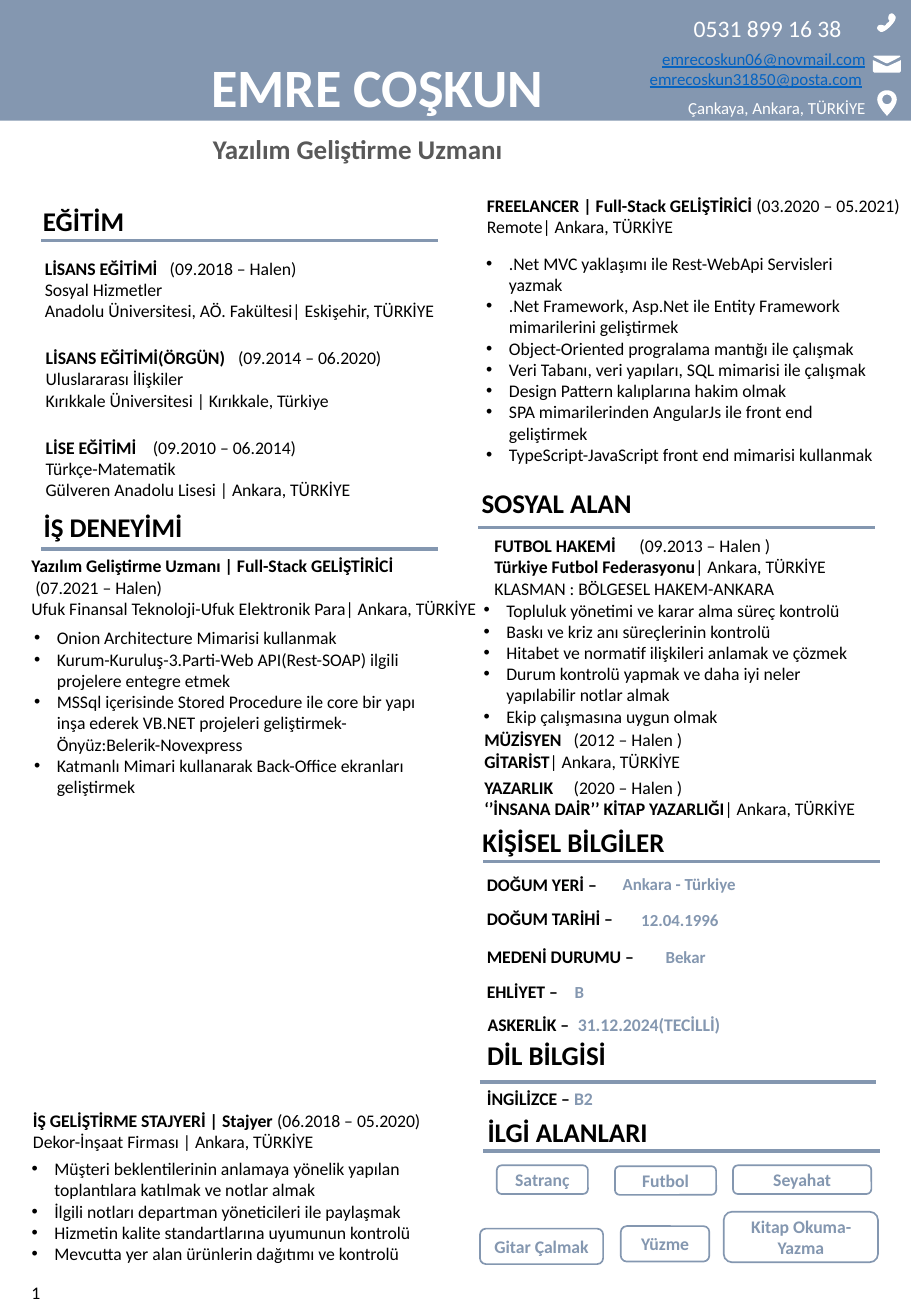
from lxml.etree import SubElement
from pptx import Presentation
from pptx.dml.color import RGBColor
from pptx.enum.shapes import MSO_CONNECTOR, MSO_SHAPE
from pptx.enum.text import MSO_ANCHOR, MSO_AUTO_SIZE, PP_ALIGN
from pptx.oxml.ns import qn
from pptx.util import Pt

STEEL, WHITE, BLACK = "8497B0", "FFFFFF", "000000"
THEME = {
    "font": "Calibri",
    "accent": RGBColor.from_string(STEEL),
    "white": RGBColor.from_string(WHITE),
    # role: size, bold, colour, underline
    "name": (32, True, WHITE, False),
    "job": (16, True, "595959", False),
    "heading": (16, True, BLACK, False),
    "phone": (14, False, WHITE, False),
    "address": (10, False, WHITE, False),
    "mail": (10, False, "0563C1", True),
    "value": (10, True, STEEL, False),
    "tag": (10.5, True, STEEL, False),
    "bold": (10.5, True, BLACK, False),
    "plain": (10.5, False, BLACK, False),
}


def write(frame, paragraphs, align=PP_ALIGN.LEFT, tab=None, bullet=False):
    """Fill a frame with paragraphs, each a list of (text, role) runs."""
    for number, runs in enumerate(paragraphs):
        paragraph = frame.add_paragraph() if number else frame.paragraphs[0]
        paragraph.alignment = align
        paragraph.space_before = Pt(0)
        properties = paragraph._p.get_or_add_pPr()
        if bullet:
            properties.set("marL", str(Pt(13.5)))
            properties.set("indent", str(-Pt(13.5)))
            SubElement(properties, qn("a:buFont"), typeface="Arial")
            SubElement(properties, qn("a:buChar"), char="•")
        if tab:
            stops = SubElement(properties, qn("a:tabLst"))
            SubElement(stops, qn("a:tab"), pos=str(Pt(tab)), algn="l")
        for text, role in runs:
            run = paragraph.add_run()
            run.text = text
            size, bold, colour, underline = THEME[role]
            run.font.name = THEME["font"]
            run.font.size = Pt(size)
            run.font.bold = bold
            run.font.underline = underline
            run.font.color.rgb = RGBColor.from_string(colour)


def curve(start, *segments):
    """Points along a chain of cubic curves."""
    points = [start]
    for first, second, end in segments:
        origin = points[-1]
        for t in (step / 8 for step in range(1, 9)):
            points.append(tuple(
                a * (1 - t) ** 3 + 3 * b * t * (1 - t) ** 2 + 3 * c * t * t * (1 - t) + d * t ** 3
                for a, b, c, d in zip(origin, first, second, end)))
    return points


presentation = Presentation()
presentation.slide_width, presentation.slide_height = Pt(540), Pt(779.76)
slide = presentation.slides.add_slide(presentation.slide_layouts[4])
shapes = slide.shapes

# Header band, behind the name
band = shapes.add_shape(MSO_SHAPE.RECTANGLE, 0, 0, Pt(540), Pt(71.5))
band.shadow.inherit = False
band.fill.solid()
band.fill.fore_color.rgb = THEME["accent"]
band.line.fill.background()
shapes._spTree.insert(2, band._element)

# Name
name = shapes.title
name.left, name.top, name.width, name.height = Pt(118), Pt(28), Pt(214), Pt(46)
name.text_frame.word_wrap = False
name.text_frame.auto_size = MSO_AUTO_SIZE.NONE
name.text_frame.vertical_anchor = MSO_ANCHOR.TOP
write(name.text_frame, [[("EMRE COŞKUN", "name")]])

# Duty lists: placeholder, left, top, height, items
duties = [
    (1, 13, 368, 109, [
        "Onion Architecture Mimarisi kullanmak",
        "Kurum-Kuruluş-3.Parti-Web API(Rest-SOAP) ilgili projelere entegre etmek",
        "MSSql içerisinde Stored Procedure ile core bir yapı inşa ederek VB.NET projeleri "
        "geliştirmek-Önyüz:Belerik-Novexpress",
        "Katmanlı Mimari kullanarak Back-Office ekranları geliştirmek"]),
    (2, 11.5, 682.5, 83.5, [
        "Müşteri beklentilerinin anlamaya yönelik yapılan toplantılara katılmak ve notlar almak",
        "İlgili notları departman yöneticileri ile paylaşmak",
        "Hizmetin kalite standartlarına uyumunun kontrolü",
        "Mevcutta yer alan ürünlerin dağıtımı ve kontrolü"]),
    (3, 281, 146, 160, [
        ".Net MVC yaklaşımı ile Rest-WebApi Servisleri yazmak",
        ".Net Framework, Asp.Net ile Entity Framework mimarilerini geliştirmek",
        "Object-Oriented progralama mantığı ile çalışmak",
        "Veri Tabanı, veri yapıları, SQL mimarisi ile çalışmak",
        "Design Pattern kalıplarına hakim olmak",
        "SPA mimarilerinden AngularJs ile front end geliştirmek",
        "TypeScript-JavaScript front end mimarisi kullanmak"]),
    (4, 279.5, 351.5, 83.5, [
        "Topluluk yönetimi ve karar alma süreç kontrolü",
        "Baskı ve kriz anı süreçlerinin kontrolü",
        "Hitabet ve normatif ilişkileri anlamak ve çözmek",
        "Durum kontrolü yapmak ve daha iyi neler yapılabilir notlar almak",
        "Ekip çalışmasına uygun olmak"]),
]
for index, left, top, height, items in duties:
    duty = slide.placeholders[index]
    duty.left, duty.top, duty.width, duty.height = Pt(left), Pt(top), Pt(244), Pt(height)
    duty.text_frame.auto_size = MSO_AUTO_SIZE.NONE
    duty.text_frame.vertical_anchor = MSO_ANCHOR.TOP
    write(duty.text_frame, [[(item, "plain")] for item in items], bullet=True)

# Texts: left, top, width, height, wrap, alignment, tab, paragraphs
L, C, R = PP_ALIGN.LEFT, PP_ALIGN.CENTER, PP_ALIGN.RIGHT
texts = [
    (118, 75, 188, 26.5, False, C, None, [[("Yazılım Geliştirme Uzmanı", "job")]]),
    (391, 4.5, 115, 24, True, R, None, [[("0531 899 16 38", "phone")]]),
    (368.5, 25, 151.5, 32, True, R, None, [
        [("emrecoskun06@novmail.com", "mail")],
        [("emrecoskun31850@posta.com", "mail"), (" ", "address")]]),
    (381, 54.5, 139, 19.5, True, R, None, [[("Çankaya, Ankara, TÜRKİYE", "address")]]),
    (11.5, 756, 244, 20, True, L, None, [[("1", "plain")]]),
    (281.5, 641, 129, 20, True, L, None, [[("İNGİLİZCE – ", "bold"), ("B2", "tag")]]),
    (282, 597, 153, 20, True, L, 53.5, [[("ASKERLİK –\t", "bold"), ("31.12.2024(TECİLLİ)", "tag")]]),
]

# Section headings
for left, top, width, heading in [
        (18, 117.5, 63, "EĞİTİM"), (18, 299, 98, "İŞ DENEYİMİ"),
        (277.5, 285, 105, "SOSYAL ALAN"), (278, 485.5, 124, "KİŞİSEL BİLGİLER"),
        (281, 612, 86, "DİL BİLGİSİ"), (281, 657.5, 111, "İLGİ ALANLARI")]:
    texts.append((left, top, width, 26.5, False, C, None, [[(heading, "heading")]]))

# Education, work and social entries: left, top, width, tab, lines
for left, top, width, tab, lines in [
        (19.5, 149, 251, 74, [
            [("LİSANS EĞİTİMİ\t", "bold"), ("(09.2018 – Halen)", "plain")],
            [("Sosyal Hizmetler", "plain")],
            [("Anadolu Üniversitesi, AÖ. Fakültesi| Eskişehir, TÜRKİYE", "plain")]]),
        (20, 202, 217, 114, [
            [("LİSANS EĞİTİMİ(ÖRGÜN)\t", "bold"), ("(09.2014 – 06.2020)", "plain")],
            [("Uluslararası İlişkiler", "plain")],
            [("Kırıkkale Üniversitesi | Kırıkkale, Türkiye", "plain")]]),
        (20, 255, 199, 63.5, [
            [("LİSE EĞİTİMİ\t", "bold"), ("(09.2010 – 06.2014)", "plain")],
            [("Türkçe-Matematik", "plain")],
            [("Gülveren Anadolu Lisesi | Ankara, TÜRKİYE", "plain")]]),
        (11.5, 325.5, 281.5, None, [
            [("Yazılım Geliştirme Uzmanı | Full-Stack GELİŞTİRİCİ", "bold")],
            [(" ", "bold"), ("(07.2021 – Halen)", "plain")],
            [("Ufuk Finansal Teknoloji-Ufuk Elektronik Para| Ankara, TÜRKİYE", "plain")]]),
        (12.5, 654, 249, None, [
            [("İŞ GELİŞTİRME STAJYERİ | Stajyer ", "bold"), ("(06.2018 – 05.2020)", "plain")],
            [("Dekor-İnşaat Firması | Ankara, TÜRKİYE", "plain")]]),
        (281.5, 112, 261, None, [
            [("FREELANCER | Full-Stack GELİŞTİRİCİ ", "bold"), ("(03.2020 – 05.2021)", "plain")],
            [("Remote| Ankara, TÜRKİYE", "plain")]]),
        (286, 313.5, 216, 86, [
            [("FUTBOL HAKEMİ\t", "bold"), ("(09.2013 – Halen )", "plain")],
            [("Türkiye Futbol Federasyonu", "bold"), ("| Ankara, TÜRKİYE", "plain")],
            [("KLASMAN : BÖLGESEL HAKEM-ANKARA", "plain")]]),
        (280, 428.5, 136, 53, [
            [("MÜZİSYEN\t", "bold"), ("(2012 – Halen )", "plain")],
            [("GİTARİST", "bold"), ("| Ankara, TÜRKİYE", "plain")]]),
        (280, 456.5, 240.5, 53, [
            [("YAZARLIK\t", "bold"), ("(2020 – Halen )", "plain")],
            [("‘’İNSANA DAİR’’ KİTAP YAZARLIĞI", "bold"), ("| Ankara, TÜRKİYE", "plain")]])]:
    texts.append((left, top, width, 7 + 12.8 * len(lines), False, L, tab, lines))

# Personal details: label, its top, value, left, top and width of the value
for label, label_top, value, left, top, width in [
        ("DOĞUM YERİ – ", 514, "Ankara - Türkiye", 362, 514, 87),
        ("DOĞUM TARİHİ – ", 534.5, "12.04.1996", 373, 535.5, 74),
        ("MEDENİ DURUMU – ", 557, "Bekar", 387.5, 557.5, 50),
        ("EHLİYET – ", 577.5, "B", 333.5, 578, 33)]:
    texts.append((281.5, label_top, 106, 20, True, L, None, [[(label, "bold")]]))
    texts.append((left, top, width, 19.5, True, L, None, [[(value, "value")]]))

for left, top, width, height, wrap, align, tab, paragraphs in texts:
    frame = shapes.add_textbox(Pt(left), Pt(top), Pt(width), Pt(height)).text_frame
    frame.word_wrap = wrap
    frame.auto_size = MSO_AUTO_SIZE.SHAPE_TO_FIT_TEXT
    write(frame, paragraphs, align, tab)

# Rules under the headings
for left, top in [(24.5, 142.5), (24.5, 325.5), (283.5, 312.5),
                  (286.5, 510.5), (284.5, 641), (286.5, 682)]:
    rule = shapes.add_connector(MSO_CONNECTOR.STRAIGHT, Pt(left), Pt(top), Pt(left + 235), Pt(top))
    rule.line.color.rgb = THEME["accent"]
    rule.line.width = Pt(2.25)
    SubElement(rule._element.spPr, qn("a:effectLst"))

# Interests
for left, top, width, height, interest in [
        (294.5, 690.5, 54, 17, "Satranç"), (364.5, 691, 60, 17, "Futbol"),
        (434.5, 690.5, 82, 17, "Seyahat"), (284.5, 728, 73, 21, "Gitar Çalmak"),
        (368, 726.5, 52.5, 21, "Yüzme"), (429, 718, 91.5, 30, "Kitap Okuma-Yazma")]:
    tag = shapes.add_shape(MSO_SHAPE.ROUNDED_RECTANGLE, Pt(left), Pt(top), Pt(width), Pt(height))
    tag.shadow.inherit = False
    tag.fill.background()
    tag.line.color.rgb = THEME["accent"]
    tag.line.width = Pt(1)
    tag.text_frame.word_wrap = True
    tag.text_frame.vertical_anchor = MSO_ANCHOR.MIDDLE
    write(tag.text_frame, [[(interest, "tag")]], C)

# Contact icons: handset, envelope, map pin
handset = [curve(
    (6.5, 6.5), ((5.8, 7.9), (4.3, 8.6), (4.3, 7.9)), ((3.6, 7.9), (2.9, 7.2), (1.4, 7.9)),
    ((0, 9.4), (1.4, 10.1), (2.2, 10.8)), ((2.9, 11.5), (5, 10.8), (7.9, 7.9)),
    ((10.8, 5), (11.5, 2.9), (10.8, 2.2)), ((10.1, 1.4), (9.4, 0), (7.9, 1.4)),
    ((7.2, 2.9), (7.2, 3.6), (7.9, 4.3)), ((8.6, 4.3), (7.9, 5.8), (6.5, 6.5)))]
envelope = [
    [(0, 2.7), (7.2, 6), (8.3, 6.4), (9.4, 6), (16.5, 2.7), (16.5, 9.3), (15.7, 10.1),
     (0.8, 10.1), (0, 9.3)],
    [(0.5, 0), (16, 0), (16.2, 0.7), (9.4, 4.2), (8.3, 4.6), (7.2, 4.2), (0.3, 0.7)]]
pin = [
    curve((5.8, 0), ((2.6, 0), (0, 2.3), (0, 5.4)), ((0, 9.4), (5.8, 15.1), (5.8, 15.1)),
          ((5.8, 15.1), (11.6, 9.4), (11.6, 5.4)), ((11.6, 2.3), (9, 0), (5.8, 0))),
    curve((5.8, 8.2), ((7.4, 8.2), (8.6, 7), (8.6, 5.4)), ((8.6, 3.8), (7.4, 2.6), (5.8, 2.6)),
          ((4.2, 2.6), (3, 3.8), (3, 5.4)), ((3, 7), (4.2, 8.2), (5.8, 8.2)))]
for left, top, outline, contours in [
        (519.5, 7.5, 0.75, handset), (517.5, 33, 0, envelope), (520, 53.5, 0, pin)]:
    placed = [[(Pt(left + x), Pt(top + y)) for x, y in contour] for contour in contours]
    builder = shapes.build_freeform(*placed[0][0])
    builder.add_line_segments(placed[0][1:])
    for contour in placed[1:]:
        builder.move_to(*contour[0])
        builder.add_line_segments(contour[1:])
    icon = builder.convert_to_shape()
    icon.shadow.inherit = False
    icon.fill.solid()
    icon.fill.fore_color.rgb = THEME["white"]
    if outline:
        icon.line.color.rgb = THEME["white"]
        icon.line.width = Pt(outline)
    else:
        icon.line.fill.background()

presentation.save("out.pptx")
